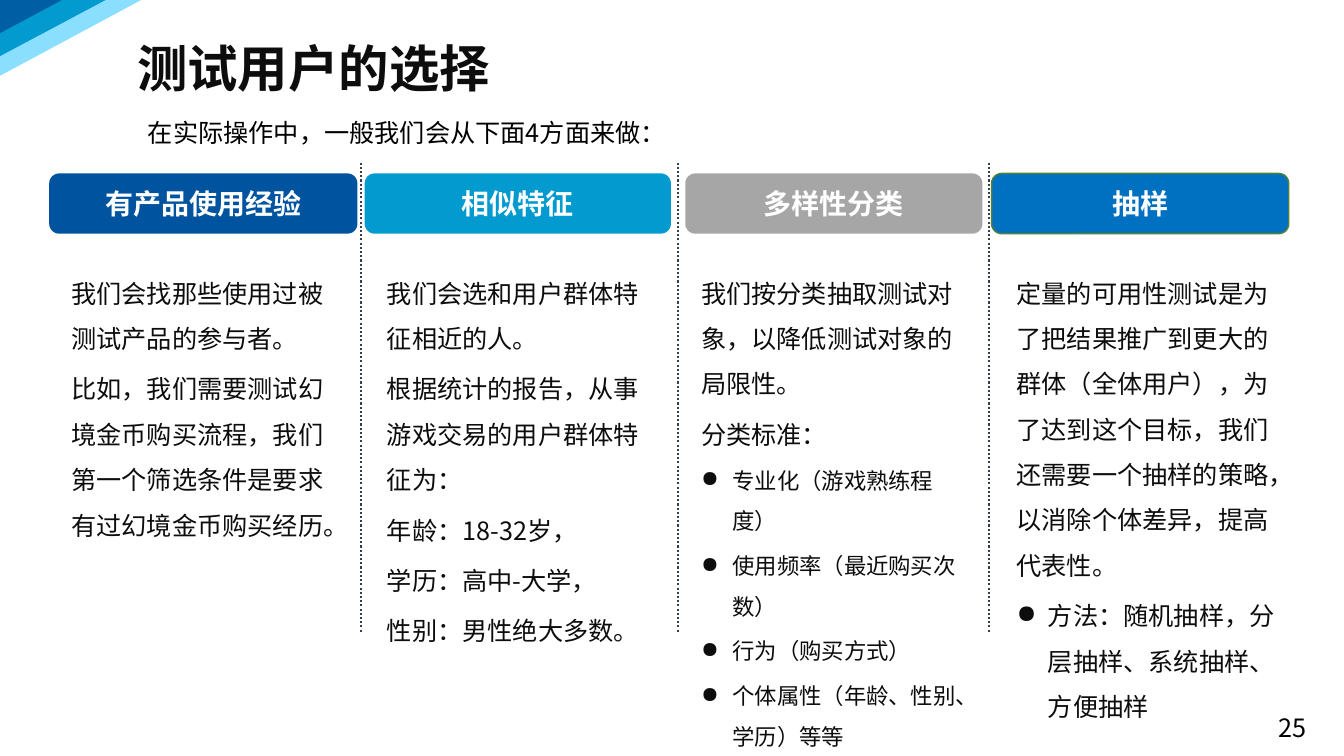
from dataclasses import dataclass

from lxml import etree
from pptx import Presentation
from pptx.dml.color import RGBColor
from pptx.enum.dml import MSO_LINE
from pptx.enum.shapes import MSO_CONNECTOR, MSO_SHAPE
from pptx.enum.text import MSO_ANCHOR, MSO_AUTO_SIZE, PP_ALIGN
from pptx.oxml.ns import qn
from pptx.util import Cm, Pt

ROUNDED = MSO_SHAPE.ROUNDED_RECTANGLE
STRAIGHT = MSO_CONNECTOR.STRAIGHT
DOTTED = MSO_LINE.ROUND_DOT
LEFT, CENTER = PP_ALIGN.LEFT, PP_ALIGN.CENTER
TOP, MIDDLE = MSO_ANCHOR.TOP, MSO_ANCHOR.MIDDLE
TITLE_ONLY = 5


@dataclass(frozen=True)
class Theme:
    font: str = "Noto Sans CJK SC"
    text: str = "0D0D0D"
    black: str = "000000"
    white: str = "FFFFFF"
    separator: str = "333F50"
    title_size: int = 36
    header_size: int = 20
    body_size: int = 18
    small_size: int = 16
    line_pitch: float = 1.8  # line height as a multiple of type size
    paragraph_gap: float = 0.2  # space before as a multiple of type size


@dataclass(frozen=True)
class Entry:
    text: str
    size: int = 18
    bullet: bool = False


@dataclass(frozen=True)
class Column:
    heading: str
    fill: str
    header_left: float
    header_width: float
    body_left: float
    body_height: float
    entries: tuple[Entry, ...]
    outline: str = ""


@dataclass(frozen=True)
class Stripe:
    fill: str
    points: tuple[tuple[float, float], ...]


THEME = Theme()
SMALL = THEME.small_size
HEADER_TOP, HEADER_HEIGHT = 4.37, 1.52
BODY_TOP, BODY_WIDTH = 6.5, 7.19
SEPARATOR_TOP, SEPARATOR_BOTTOM = 4.1, 15.94
SEPARATORS = (9.09, 17.09, 24.92)
BULLET_INDENT = 0.79

STRIPES = (
    Stripe("005EA4", ((0, 0.91), (0, 0), (1.73, 0))),
    Stripe("039ACF", ((0, 1.55), (0, 0.84), (1.57, 0), (2.87, 0))),
    Stripe("89DFFD", ((0, 1.91), (0, 1.42), (2.67, 0), (3.56, 0))),
)

COLUMNS = (
    Column("有产品使用经验", "00539E", 1.24, 7.77, 1.55, 7.34, (
        Entry("我们会找那些使用过被测试产品的参与者。"),
        Entry("比如，我们需要测试幻境金币购买流程，我们第一个筛选条件是要求有过幻境金币购买经历。"),
    )),
    Column("相似特征", "039ACF", 9.19, 7.72, 9.5, 10.11, (
        Entry("我们会选和用户群体特征相近的人。"),
        Entry("根据统计的报告，从事游戏交易的用户群体特征为："),
        Entry("年龄：18-32岁，"),
        Entry("学历：高中-大学，"),
        Entry("性别：男性绝大多数。"),
    )),
    Column("多样性分类", "A6A6A6", 17.27, 7.49, 17.42, 11.71, (
        Entry("我们按分类抽取测试对象，以降低测试对象的局限性。"),
        Entry("分类标准："),
        Entry("专业化（游戏熟练程度）", SMALL, True),
        Entry("使用频率（最近购买次数）", SMALL, True),
        Entry("行为（购买方式）", SMALL, True),
        Entry("个体属性（年龄、性别、学历）等等", SMALL, True),
    )),
    Column("抽样", "0070C0", 24.99, 7.49, 25.37, 11.94, (
        Entry("定量的可用性测试是为了把结果推广到更大的群体（全体用户），为了达到这个目标，"
              "我们还需要一个抽样的策略，以消除个体差异，提高代表性。"),
        Entry("方法：随机抽样，分层抽样、系统抽样、方便抽样", bullet=True),
    ), outline="548235"),
)


def color(value: str) -> RGBColor:
    return RGBColor.from_string(value)


def write(paragraph, text: str, *, size: int, fill: str = THEME.text,
          bold: bool = False, align=LEFT) -> None:
    """Add one formatted run to a paragraph."""
    paragraph.alignment = align
    run = paragraph.add_run()
    run.text = text
    run.font.size = Pt(size)
    run.font.bold = bold
    run.font.color.rgb = color(fill)
    run.font.name = THEME.font
    latin = run.font._element.find(qn("a:latin"))
    east_asian = etree.Element(qn("a:ea"), typeface=THEME.font)
    latin.addnext(east_asian)


def add_bullet(paragraph) -> None:
    properties = paragraph._p.get_or_add_pPr()
    properties.set("marL", str(Cm(BULLET_INDENT)))
    properties.set("indent", str(-Cm(BULLET_INDENT)))
    etree.SubElement(properties, qn("a:buChar"), char="●")


def add_text_box(slide, left: float, top: float, width: float, height: float, anchor=MIDDLE):
    text_box = slide.shapes.add_textbox(Cm(left), Cm(top), Cm(width), Cm(height))
    text_box.text_frame.word_wrap = True
    text_box.text_frame.vertical_anchor = anchor
    return text_box.text_frame


def draw_stripe(slide, stripe: Stripe) -> None:
    points = [(Cm(x), Cm(y)) for x, y in stripe.points]
    builder = slide.shapes.build_freeform(*points[0])
    builder.add_line_segments(points[1:], close=True)
    shape = builder.convert_to_shape()
    shape.shadow.inherit = False
    shape.fill.solid()
    shape.fill.fore_color.rgb = color(stripe.fill)
    shape.line.fill.background()


def draw_separator(slide, x: float) -> None:
    connector = slide.shapes.add_connector(
        STRAIGHT, Cm(x), Cm(SEPARATOR_TOP), Cm(x), Cm(SEPARATOR_BOTTOM))
    connector.line.color.rgb = color(THEME.separator)
    connector.line.width = Pt(1.5)
    connector.line.dash_style = DOTTED
    etree.SubElement(connector._element.spPr, qn("a:effectLst"))


def draw_column(slide, column: Column) -> None:
    # Header
    header = slide.shapes.add_shape(
        ROUNDED, Cm(column.header_left), Cm(HEADER_TOP),
        Cm(column.header_width), Cm(HEADER_HEIGHT))
    header.shadow.inherit = False
    header.fill.solid()
    header.fill.fore_color.rgb = color(column.fill)
    if column.outline:
        header.line.color.rgb = color(column.outline)
        header.line.width = Pt(1)
    else:
        header.line.fill.background()
    header.text_frame.vertical_anchor = MIDDLE
    write(header.text_frame.paragraphs[0], column.heading, size=THEME.header_size,
          fill=THEME.white, bold=True, align=CENTER)

    # Body
    frame = add_text_box(slide, column.body_left, BODY_TOP, BODY_WIDTH,
                         column.body_height, anchor=TOP)
    for index, entry in enumerate(column.entries):
        paragraph = frame.add_paragraph() if index else frame.paragraphs[0]
        if entry.bullet:
            add_bullet(paragraph)
        paragraph.line_spacing = Pt(entry.size * THEME.line_pitch)
        if index:
            paragraph.space_before = Pt(entry.size * THEME.paragraph_gap)
        write(paragraph, entry.text, size=entry.size)


def draw_title(slide, text: str) -> None:
    title = slide.shapes.title
    title.left, title.top, title.width, title.height = Cm(3.2), Cm(0.79), Cm(9.4), Cm(1.8)
    frame = title.text_frame
    frame.word_wrap = False
    frame.auto_size = MSO_AUTO_SIZE.NONE
    frame.vertical_anchor = MIDDLE
    write(frame.paragraphs[0], text, size=THEME.title_size, bold=True)


def main() -> None:
    presentation = Presentation()
    presentation.slide_width, presentation.slide_height = Cm(33.87), Cm(19.05)
    slide = presentation.slides.add_slide(presentation.slide_layouts[TITLE_ONLY])

    # Corner decoration
    for stripe in STRIPES:
        draw_stripe(slide, stripe)

    # Title and introduction
    draw_title(slide, "测试用户的选择")
    introduction = add_text_box(slide, 3.48, 2.82, 17.17, 1.02)
    write(introduction.paragraphs[0], "在实际操作中，一般我们会从下面4方面来做：",
          size=THEME.body_size, fill=THEME.black)

    # Four columns and the lines between them
    for x in SEPARATORS:
        draw_separator(slide, x)
    for column in COLUMNS:
        draw_column(slide, column)

    # Page number
    page_number = add_text_box(slide, 31.98, 17.86, 1.4, 0.94)
    write(page_number.paragraphs[0], "25", size=THEME.body_size, fill=THEME.black)

    presentation.save("out.pptx")


if __name__ == "__main__":
    main()
